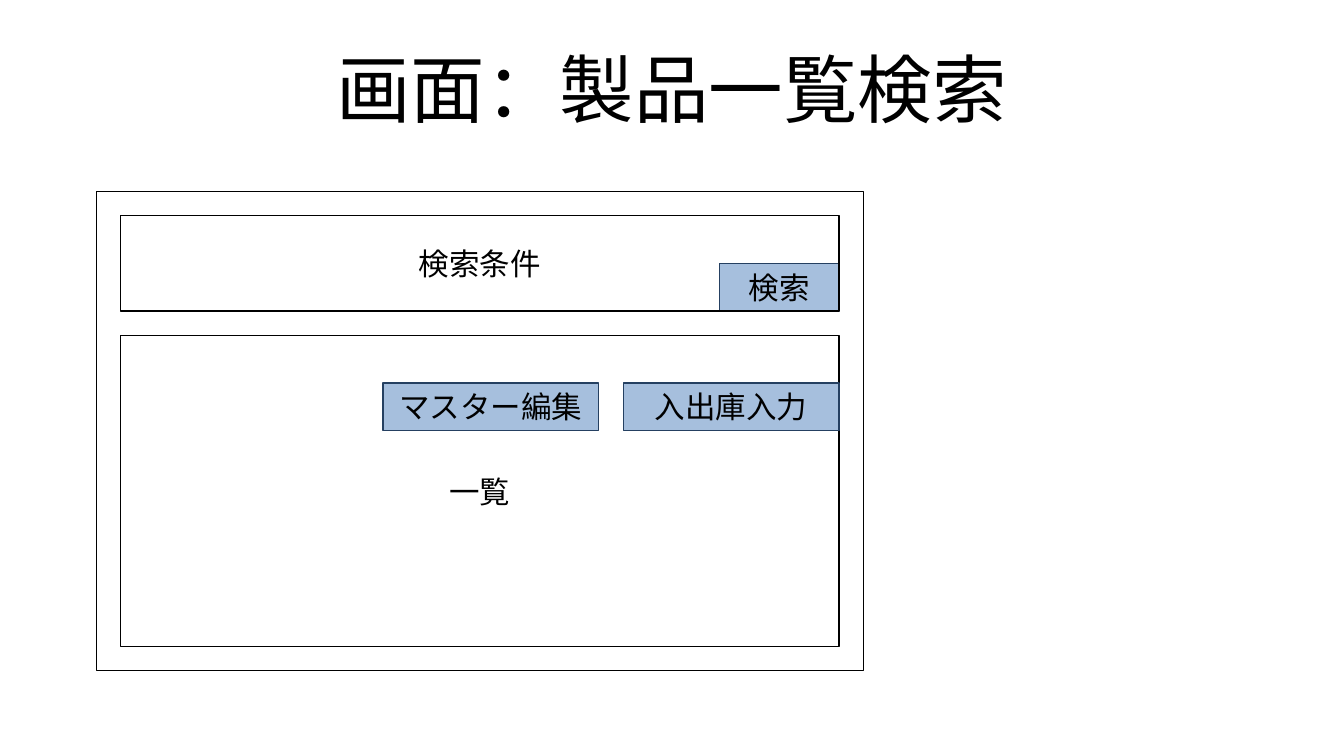
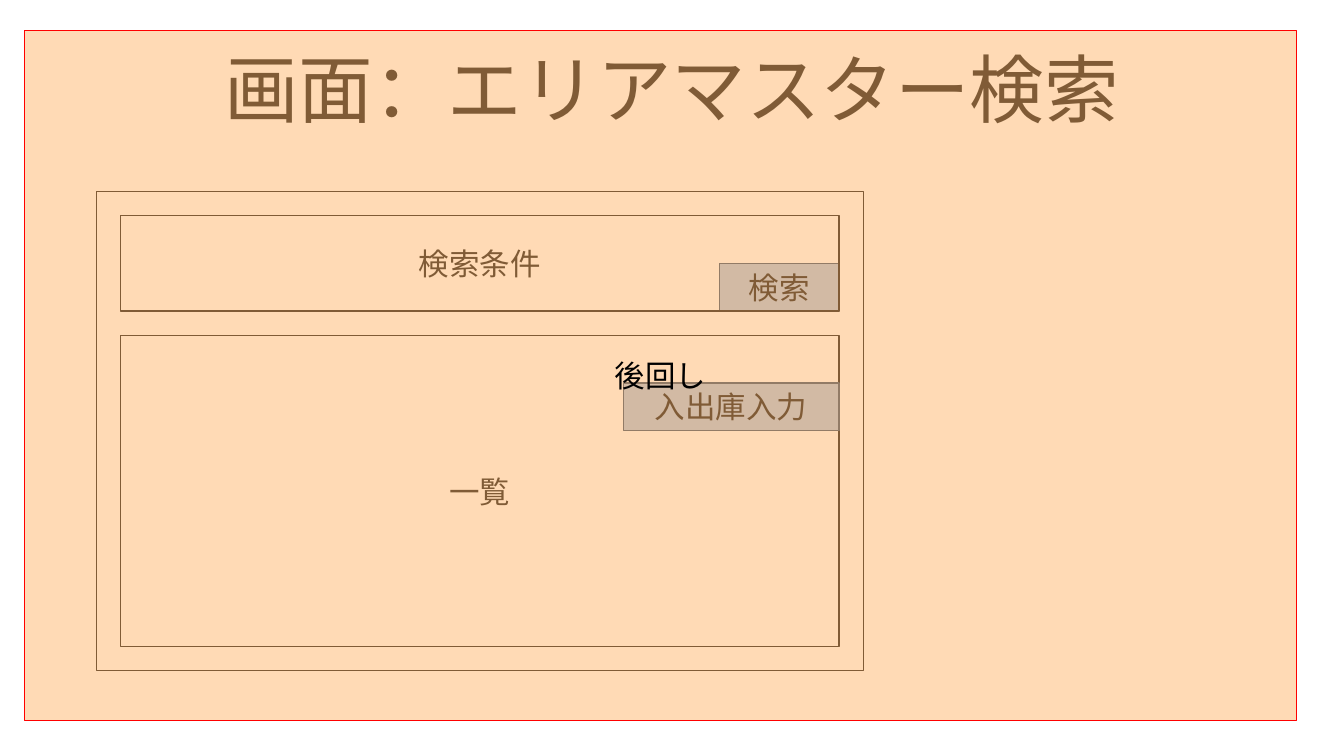
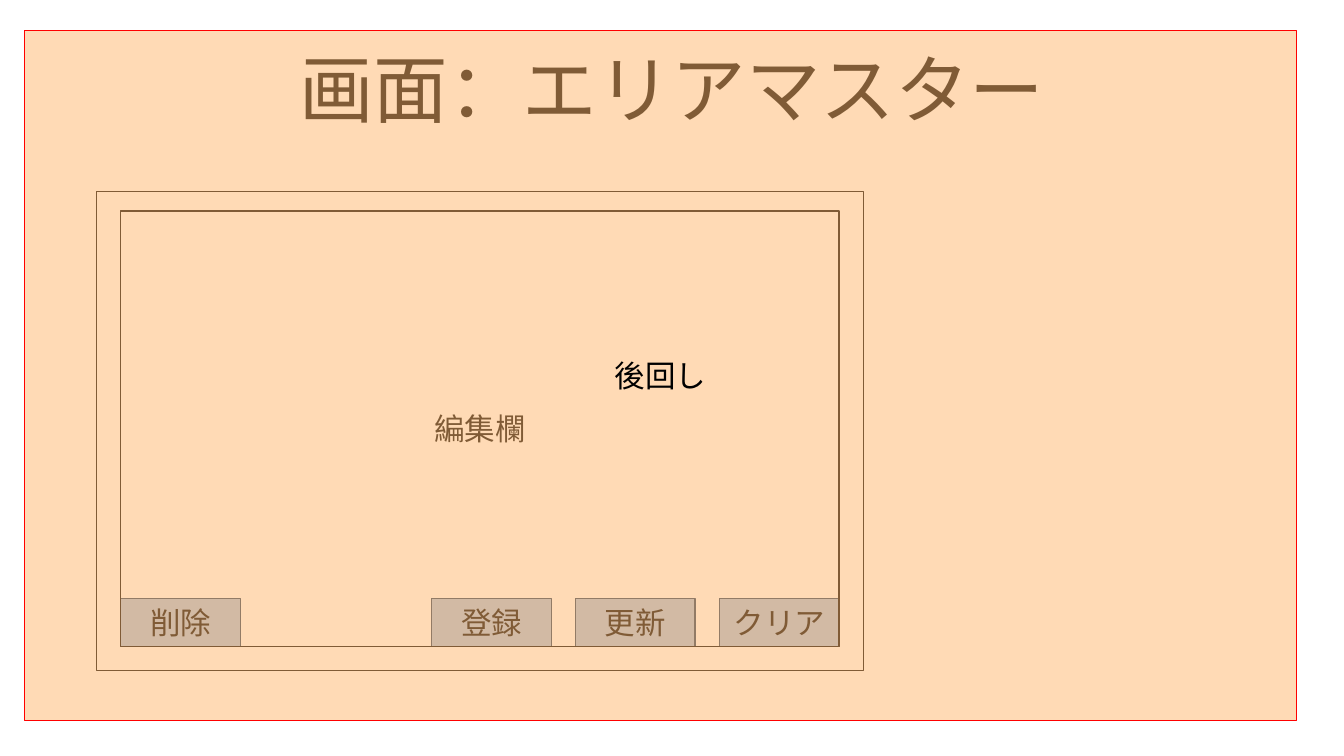
from pptx import Presentation
from pptx.dml.color import RGBColor
from pptx.enum.shapes import MSO_SHAPE
from pptx.enum.text import MSO_ANCHOR, PP_ALIGN
from pptx.oxml.ns import qn
from pptx.util import Inches, Pt
from lxml import etree

# Shared style: colours, font and grid, in inches
BLACK, BLUE, NAVY = "000000", "4F81BD", "254061"
PEACH, RED = "FFB66C", "FF0000"
FONT = "Arial"
TITLE = (0.55, 0.25, 9.92, 1.03)
FRAME = (0.79, 1.57, 6.29, 3.93)
COVER = (0.2, 0.25, 10.43, 5.66)
PAD = 0.2
HIGH = 0.39
SHORT, LONG = 0.98, 1.77


def color(code):
    return RGBColor.from_string(code)


def write(shape, text, size):
    frame = shape.text_frame
    frame.word_wrap = True
    frame.vertical_anchor = MSO_ANCHOR.MIDDLE
    para = frame.paragraphs[0]
    para.alignment = PP_ALIGN.CENTER
    run = para.add_run()
    run.text = text
    run.font.size = Pt(size)
    run.font.name = FONT
    run.font.color.rgb = color(BLACK)
    return frame


def rect(slide, box, text="", fill=None, line=BLACK):
    """Hairline box; any fill is half transparent."""
    shape = slide.shapes.add_shape(
        MSO_SHAPE.RECTANGLE, *[Inches(n) for n in box])
    shape.shadow.inherit = False
    shape.line.color.rgb = color(line)
    shape.line.width = Pt(0)
    if fill:
        shape.fill.solid()
        shape.fill.fore_color.rgb = color(fill)
        tint = shape.fill._xPr.find(qn("a:solidFill"))[0]
        etree.SubElement(tint, qn("a:alpha")).set("val", "50000")
    else:
        shape.fill.background()
    if text:
        write(shape, text, 18)


def title(slide, box, text):
    shape = slide.shapes.add_textbox(*[Inches(n) for n in box])
    frame = write(shape, text, 44)
    frame.margin_left = frame.margin_right = 0
    frame.margin_top = frame.margin_bottom = 0
    frame.paragraphs[0].line_spacing = 0.9


def button(slide, left, top, wide, text):
    rect(slide, (left, top, wide, HIGH), text, BLUE, NAVY)


def row(slide, right, top, wide, names):
    """Buttons in a row, the last one ending at the right edge."""
    for i, name in enumerate(reversed(names)):
        button(slide, right - wide - i * (wide + PAD), top, wide, name)


def inner(box):
    """Left edge and width inside a padded frame."""
    return box[0] + PAD, box[2] - 2 * PAD


def search(slide, box, names):
    """Screen with search terms above a list."""
    left, wide = inner(box)
    right = left + wide
    top, high = box[1] + PAD, 2 * HIGH
    rect(slide, box)
    # Search terms
    row(slide, right, top + HIGH, SHORT, ["検索"])
    rect(slide, (left, top, wide, high), "検索条件")
    # List
    top += high + PAD
    rect(slide, (left, top, wide, box[1] + box[3] - PAD - top), "一覧")
    row(slide, right, top + HIGH, LONG, names)


def edit(slide, box, names):
    """Screen with an edit field and buttons along its foot."""
    left, wide = inner(box)
    top, end = box[1] + 0.16, box[1] + box[3] - PAD
    rect(slide, box)
    button(slide, left, end - HIGH, SHORT, "削除")
    row(slide, left + wide, end - HIGH, SHORT, names)
    rect(slide, (left, top, wide, end - top), "編集欄")


def main():
    deck = Presentation()
    deck.slide_width, deck.slide_height = Inches(11.02), Inches(6.2)
    # Title, screen, buttons, put off until later
    pages = [
        ("画面：製品一覧検索", search, ["マスター編集", "入出庫入力"], False),
        ("画面：エリアマスター検索", search, ["入出庫入力"], True),
        ("画面：エリアマスター", edit, ["登録", "更新", "クリア"], True),
    ]
    for text, screen, names, later in pages:
        slide = deck.slides.add_slide(deck.slide_layouts[6])
        title(slide, TITLE, text)
        screen(slide, FRAME, names)
        if later:
            rect(slide, COVER, "後回し", PEACH, RED)
    deck.save("out.pptx")


if __name__ == "__main__":
    main()
